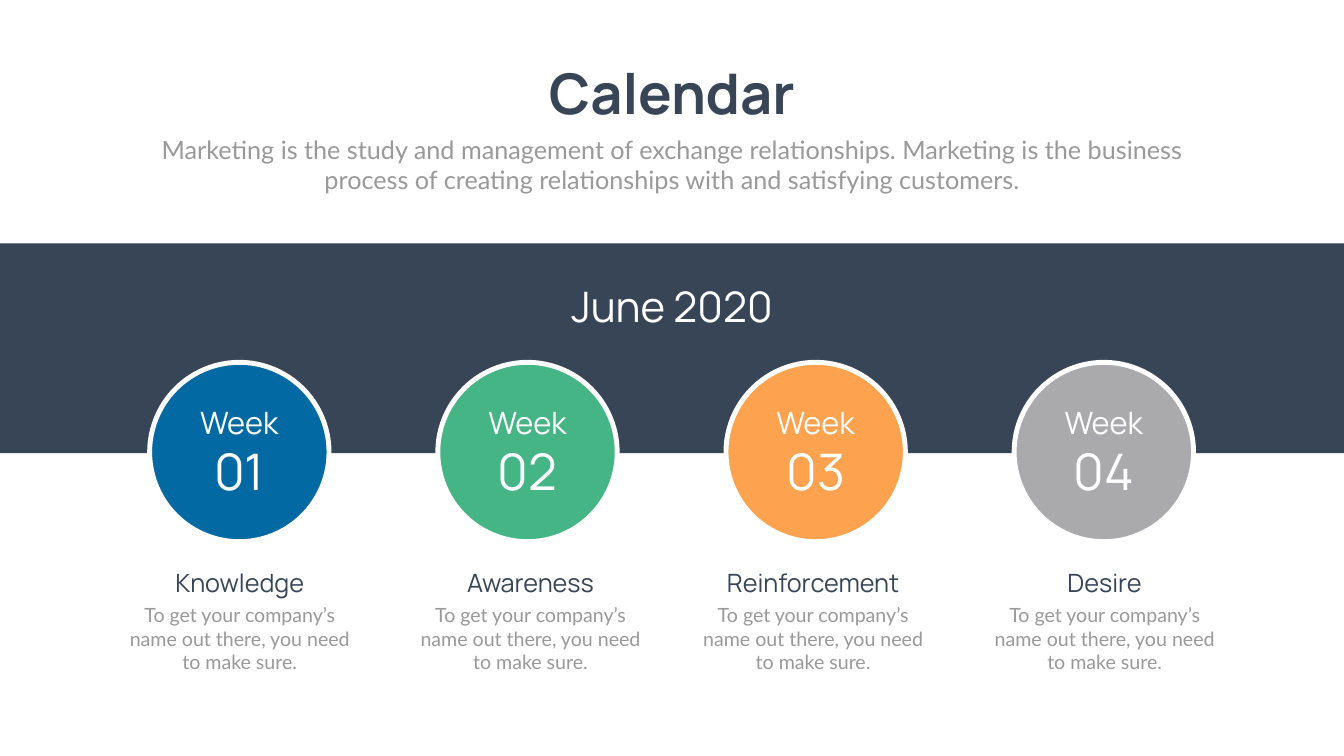
from dataclasses import dataclass

from pptx import Presentation
from pptx.dml.color import RGBColor
from pptx.enum.shapes import MSO_SHAPE as Preset
from pptx.enum.text import MSO_ANCHOR as Anchor, MSO_AUTO_SIZE as AutoSize, PP_ALIGN as Align
from pptx.shapes.autoshape import Shape
from pptx.slide import Slide
from pptx.util import Cm, Pt

COLOURS = {
    "background": "FEFFFE",
    "navy": "374556",
    "text": "999999",
    "white": "FFFFFF",
    "blue": "0369A2",
    "green": "46B586",
    "orange": "FDA24E",
    "grey": "AAA9AB",
}
HEADING_FONT = "Manrope"
BODY_FONT = "Lato"
CIRCLE_LEFT, CIRCLE_TOP, CIRCLE_SIZE, CIRCLE_PITCH = 7.54, 18.26, 9.04, 14.52
CAPTION_WIDTH = 11.76
INTRODUCTION = (
    "Marketing is the study and management of exchange relationships. "
    "Marketing is the business process of creating relationships with "
    "and satisfying customers."
)
WEEK_TEXT = "To get your company’s name out there, you need to make sure."


@dataclass(frozen=True)
class Box:
    left: float
    top: float
    width: float
    height: float

    def lengths(self) -> tuple[Cm, Cm, Cm, Cm]:
        return Cm(self.left), Cm(self.top), Cm(self.width), Cm(self.height)


@dataclass(frozen=True)
class TextStyle:
    font: str
    size: int
    colour: str
    bold: bool = False


@dataclass(frozen=True)
class Week:
    number: str
    heading: str
    colour: str
    caption_centre: float
    heading_width: float


WEEKS = (
    Week("01", "Knowledge", "blue", 12.08, 8.28),
    Week("02", "Awareness", "green", 26.73, 8.28),
    Week("03", "Reinforcement", "orange", 40.97, 11.79),
    Week("04", "Desire", "grey", 55.66, 11.79),
)


def colour(name: str) -> RGBColor:
    return RGBColor.from_string(COLOURS[name])


def write(shape: Shape, *runs: tuple[str, TextStyle]) -> None:
    paragraph = shape.text_frame.paragraphs[0]
    paragraph.alignment = Align.CENTER
    paragraph.space_before = Pt(0)
    for text, style in runs:
        run = paragraph.add_run()
        run.text = text
        run.font.name = style.font
        run.font.size = Pt(style.size)
        run.font.bold = style.bold
        run.font.color.rgb = colour(style.colour)


def fit_text(shape: Shape, text: str, style: TextStyle, wrap: bool = True) -> None:
    frame = shape.text_frame
    frame.word_wrap = wrap
    frame.auto_size = AutoSize.SHAPE_TO_FIT_TEXT
    frame.vertical_anchor = Anchor.TOP
    write(shape, (text, style))


def fill_placeholder(shape: Shape, box: Box, text: str, style: TextStyle, wrap: bool = True) -> None:
    shape.left, shape.top, shape.width, shape.height = box.lengths()
    fit_text(shape, text, style, wrap)


def add_text(slide: Slide, box: Box, text: str, style: TextStyle, wrap: bool = True) -> None:
    fit_text(slide.shapes.add_textbox(*box.lengths()), text, style, wrap)


def add_filled(slide: Slide, preset: Preset, box: Box, fill: str) -> Shape:
    shape = slide.shapes.add_shape(preset, *box.lengths())
    shape.shadow.inherit = False
    shape.fill.solid()
    shape.fill.fore_color.rgb = colour(fill)
    shape.line.fill.background()
    return shape


def add_week(slide: Slide, index: int, week: Week) -> None:
    left = CIRCLE_LEFT + index * CIRCLE_PITCH
    circle = add_filled(slide, Preset.OVAL, Box(left, CIRCLE_TOP, CIRCLE_SIZE, CIRCLE_SIZE), week.colour)
    circle.line.color.rgb = colour("white")
    circle.line.width = Pt(7)
    circle.text_frame.word_wrap = True
    circle.text_frame.vertical_anchor = Anchor.MIDDLE
    write(
        circle,
        ("Week ", TextStyle(HEADING_FONT, 44, "white")),
        (week.number, TextStyle(HEADING_FONT, 72, "white")),
    )
    heading_box = Box(week.caption_centre - week.heading_width / 2, 28.47, week.heading_width, 1.8)
    caption_box = Box(week.caption_centre - CAPTION_WIDTH / 2, 30.28, CAPTION_WIDTH, 3.84)
    add_text(slide, heading_box, week.heading, TextStyle(HEADING_FONT, 36, "navy"))
    add_text(slide, caption_box, WEEK_TEXT, TextStyle(BODY_FONT, 28, "text"))


def main() -> None:
    presentation = Presentation()
    presentation.slide_width, presentation.slide_height = Cm(67.72), Cm(38.1)
    slide = presentation.slides.add_slide(presentation.slide_layouts[0])
    slide.background.fill.solid()
    slide.background.fill.fore_color.rgb = colour("background")

    title, introduction = slide.placeholders
    title_style = TextStyle(HEADING_FONT, 80, "navy", bold=True)
    fill_placeholder(title, Box(26.75, 2.84, 14.22, 3.68), "Calendar", title_style, wrap=False)
    fill_placeholder(introduction, Box(7.42, 6.63, 52.88, 3.33), INTRODUCTION, TextStyle(BODY_FONT, 36, "text"))

    add_filled(slide, Preset.RECTANGLE, Box(0, 12.27, 67.72, 10.57), "navy")
    for index, week in enumerate(WEEKS):
        add_week(slide, index, week)
    add_text(slide, Box(28.07, 14.02, 11.58, 2.82), "June 2020", TextStyle(HEADING_FONT, 60, "white"), wrap=False)

    presentation.save("out.pptx")


if __name__ == "__main__":
    main()
